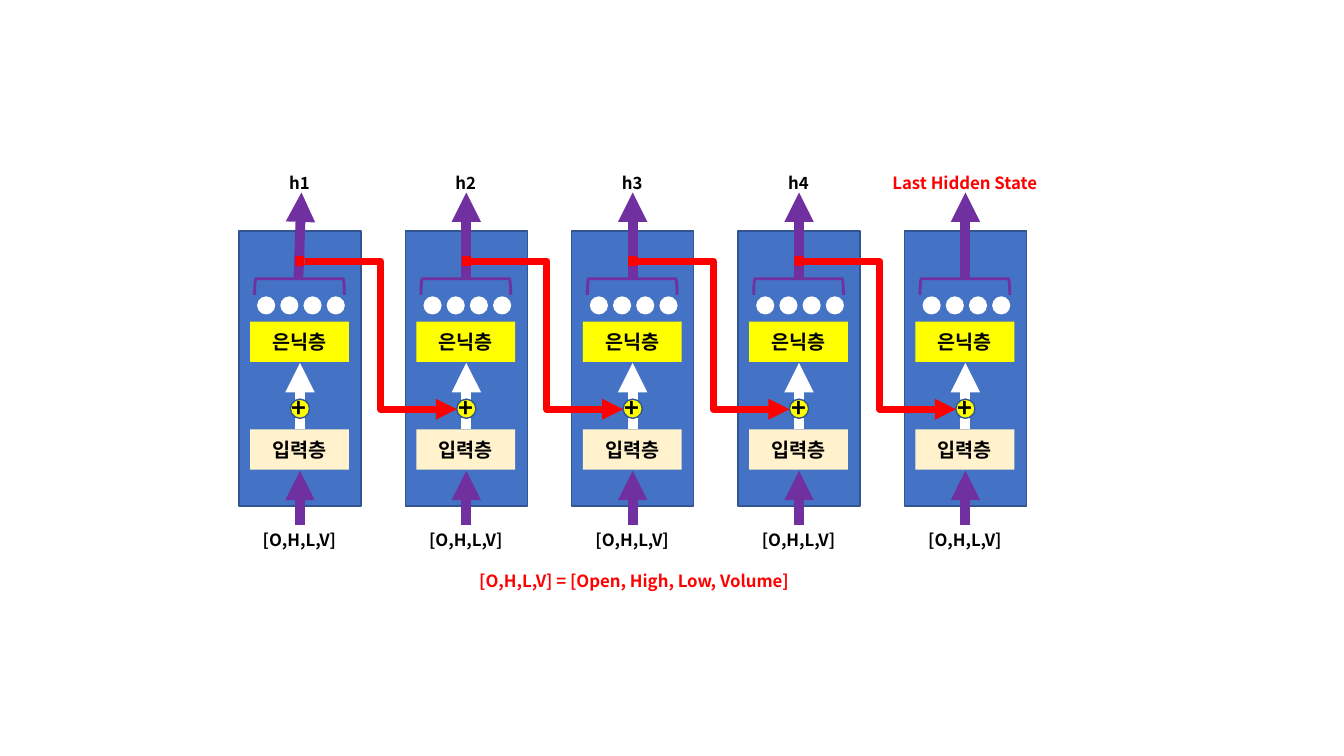
import pptx
import pptx.dml.color
import pptx.enum.shapes
import pptx.enum.text
import pptx.oxml
import pptx.oxml.ns
import pptx.util
from pptx.util import Inches

RGBColor = pptx.dml.color.RGBColor
BLUE = RGBColor(0x44, 0x72, 0xC4)
NAVY = RGBColor(0x32, 0x54, 0x91)
PURPLE = RGBColor(0x70, 0x30, 0xA0)
CREAM = RGBColor(0xFF, 0xF2, 0xCC)
YELLOW = RGBColor(0xFF, 0xFF, 0x00)
WHITE = RGBColor(0xFF, 0xFF, 0xFF)
BLACK = RGBColor(0x00, 0x00, 0x00)
RED = RGBColor(0xFF, 0x00, 0x00)

FONT = "Noto Sans CJK KR"
SHAPE = pptx.enum.shapes.MSO_SHAPE
LINK = pptx.enum.shapes.MSO_CONNECTOR
LEFT, TOP, WIDTH, HEIGHT, PITCH = 2.37, 2.29, 1.21, 2.73, 1.65
LABELS = ["h1", "h2", "h3", "h4", "Last Hidden State"]


def add_tag(parent, tag, **values):
    """Append a drawing element with the given attributes."""
    child = pptx.oxml.parse_xml(f"<a:{tag} {pptx.oxml.ns.nsdecls('a')}/>")
    for name, value in values.items():
        child.set(name, value)
    parent.append(child)


def write(frame, text, size=12, color=BLACK):
    """Fill a text frame with one bold centred line."""
    para = frame.paragraphs[0]
    para.alignment = pptx.enum.text.PP_ALIGN.CENTER
    run = para.add_run()
    run.text = text
    run.font.size = pptx.util.Pt(size)
    run.font.bold = True
    run.font.color.rgb = color
    run.font.name = FONT
    add_tag(run.font._element, "ea", typeface=FONT)


def add_label(shapes, text, x, y, w, h=0.3, wrap=True, **style):
    """Add a text box that grows with its text."""
    frame = shapes.add_textbox(Inches(x), Inches(y), Inches(w), Inches(h)).text_frame
    frame.word_wrap = wrap
    frame.auto_size = pptx.enum.text.MSO_AUTO_SIZE.SHAPE_TO_FIT_TEXT
    write(frame, text, **style)


def add_form(shapes, kind, x, y, w, h, fill=None, line=None, weight=1):
    """Add a flat preset shape."""
    form = shapes.add_shape(kind, Inches(x), Inches(y), Inches(w), Inches(h))
    form.shadow.inherit = False
    if fill is None:
        form.fill.background()
    else:
        form.fill.solid()
        form.fill.fore_color.rgb = fill
    if line is None:
        form.line.fill.background()
    else:
        form.line.color.rgb = line
        form.line.width = pptx.util.Pt(weight)
    return form


def add_arrow(shapes, start, end, color, weight=7, kind=LINK.STRAIGHT):
    """Add a connector with a triangle at its end."""
    points = [Inches(value) for value in (*start, *end)]
    arrow = shapes.add_connector(kind, *points)
    arrow.line.color.rgb = color
    arrow.line.width = pptx.util.Pt(weight)
    add_tag(arrow.line._get_or_add_ln(), "tailEnd", type="triangle")
    add_tag(arrow._element.spPr, "effectLst")


def add_layer(shapes, text, x, y, fill):
    """Add a named network layer."""
    layer = add_form(shapes, SHAPE.RECTANGLE, x, y, 0.98, 0.4, fill)
    layer.text_frame.vertical_anchor = pptx.enum.text.MSO_ANCHOR.MIDDLE
    write(layer.text_frame, text, size=14)


def add_cell(slide, x, y, label, lean=0, last=False):
    """Draw one recurrent cell with its input and output."""
    shapes = slide.shapes.add_group_shape().shapes
    mid = x + WIDTH / 2
    add_form(shapes, SHAPE.RECTANGLE, x, y, WIDTH, HEIGHT, BLUE, NAVY)
    add_arrow(shapes, (mid, y + 2.92), (mid, y + 2.38), PURPLE)
    add_arrow(shapes, (mid - lean / 2, y + 0.48), (mid + lean / 2, y - 0.38), PURPLE)
    add_arrow(shapes, (mid, y + 1.97), (mid, y + 1.31), WHITE)
    add_layer(shapes, "입력층", x + 0.11, y + 1.97, CREAM)
    add_layer(shapes, "은닉층", x + 0.11, y + 0.9, YELLOW)
    if not last:
        add_form(shapes, SHAPE.RECTANGLE, x + 0.56, y + 0.25, 0.09, 0.1, RED)
    add_form(shapes, SHAPE.OVAL, x + 0.51, y + 1.67, 0.19, 0.19, YELLOW, NAVY)
    add_label(shapes, "+", x + 0.41, y + 1.55, 0.38, 0.4, wrap=False, size=18)
    add_label(shapes, "[O,H,L,V]", x + 0.01, y + 2.92, 1.18)
    for step in range(4):
        add_form(shapes, SHAPE.OVAL, x + 0.18 + 0.23 * step, y + 0.65, 0.18, 0.18, WHITE)
    brace = add_form(shapes, SHAPE.RIGHT_BRACKET, x + 0.52, y + 0.11, 0.16, 0.89,
                     line=PURPLE, weight=2)
    brace.rotation = 270
    width = 1.78 if last else 1.18
    add_label(shapes, label, x + 0.6 - width / 2, y - 0.63, width,
              color=RED if last else BLACK)


def add_links(slide, x, y):
    """Carry each hidden state into the next cell."""
    for step in range(len(LABELS) - 1):
        start = x + PITCH * step
        add_arrow(slide.shapes, (start + 0.65, y + 0.3), (start + PITCH + 0.51, y + 1.77),
                  RED, weight=5, kind=LINK.ELBOW)


def main():
    """Build and save the slide."""
    deck = pptx.Presentation()
    deck.slide_width, deck.slide_height = Inches(13.33), Inches(7.5)
    slide = deck.slides.add_slide(deck.slide_layouts[6])
    add_label(slide.shapes, "[O,H,L,V] = [Open, High, Low, Volume]", 4.55, 5.61, 3.48, color=RED)
    for step, label in enumerate(LABELS):
        add_cell(slide, LEFT + PITCH * step, TOP, label,
                 lean=0.03 if step == 0 else 0, last=step == len(LABELS) - 1)
    add_links(slide, LEFT, TOP)
    deck.save("out.pptx")


if __name__ == "__main__":
    main()
